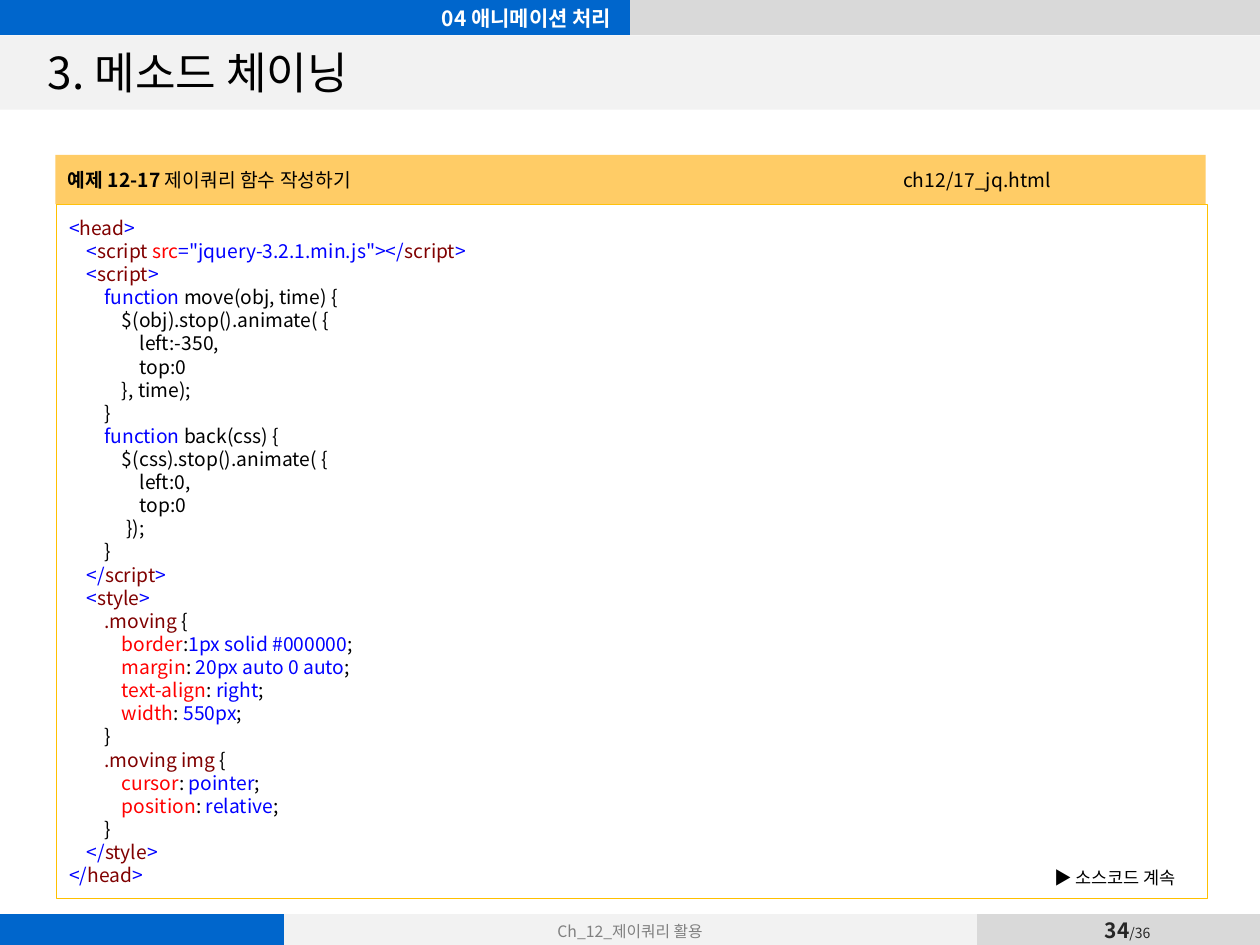
import pptx
import pptx.util
import pptx.dml.color
import pptx.enum.shapes
import pptx.enum.text
import lxml.etree
from pptx.util import Inches

theme = {
    "font": "Noto Sans CJK KR", "note_font": "Arial",
    "title": 25.2, "section": 12, "code": 11, "note": 10, "footer": 9, "total": 8,
    "pitch": 13.2,
    "blue": "0066CC", "gray": "D9D9D9", "light": "F2F2F2",
    "gold": "FFCC66", "border": "FFC000",
    "black": "000000", "white": "FFFFFF", "footer_text": "808080", "page": "262626",
    "mark": "0000FF", "name": "800000", "attr": "FF0000",
}
ALIGN = pptx.enum.text.PP_ALIGN
MIDDLE = pptx.enum.text.MSO_ANCHOR.MIDDLE
RECT = pptx.enum.shapes.MSO_SHAPE.RECTANGLE
NO_STYLE = "{2D5ABB26-0587-4C30-8999-92F81FD0307C}"


def rgb(key):
    return pptx.dml.color.RGBColor.from_string(theme[key])


def write(p, runs, size, font="font", align=ALIGN.LEFT):
    p.alignment = align
    p.font.size = pptx.util.Pt(theme[size])
    p.font.name = theme[font]
    ea = lxml.etree.SubElement(p.font._element, pptx.oxml.ns.qn("a:ea"))
    ea.set("typeface", theme["font"])
    for text, color in runs:
        r = p.add_run()
        r.text = text
        r.font.color.rgb = rgb(color)


prs = pptx.Presentation()
prs.slide_width, prs.slide_height = Inches(10), Inches(7.5)
s = prs.slides.add_slide(prs.slide_layouts[5])

rects = {}
for name, box, fill, line in [
    ("title_band", (0, 0.28, 10, 0.59), "light", None),
    ("code", (0.45, 1.62, 9.13, 5.51), None, "border"),
    ("caption", (0.44, 1.23, 9.13, 0.39), "gold", None),
]:
    sp = s.shapes.add_shape(RECT, *map(Inches, box))
    sp.shadow.inherit = False
    if fill:
        sp.fill.solid()
        sp.fill.fore_color.rgb = rgb(fill)
    else:
        sp.fill.background()
    if line:
        sp.line.color.rgb = rgb(line)
        sp.line.width = pptx.util.Pt(0.5)
    else:
        sp.line.fill.background()
    sp.text_frame.vertical_anchor = MIDDLE
    rects[name] = sp

for top, height, columns in [
    (0, 0.28, [(5, "blue", ""), (5, "gray", "")]),
    (7.25, 0.27, [(2.25, "blue", ""), (5.5, "light", "Ch_12_제이쿼리 활용"),
                  (0.03, "gray", ""), (1.34, "gray", ""), (0.91, "gray", "")]),
]:
    width = sum(w for w, _, _ in columns)
    frame = s.shapes.add_table(1, len(columns), 0, Inches(top), Inches(width), Inches(height))
    table = frame.table
    table.first_row = table.horz_banding = False
    table._tbl.tblPr.find(pptx.oxml.ns.qn("a:tableStyleId")).text = NO_STYLE
    for i, (w, fill, text) in enumerate(columns):
        table.columns[i].width = Inches(w)
        cell = table.cell(0, i)
        cell.fill.solid()
        cell.fill.fore_color.rgb = rgb(fill)
        cell.vertical_anchor = MIDDLE
        cell.margin_left = cell.margin_right = cell.margin_top = cell.margin_bottom = 0
        p = cell.text_frame.paragraphs[0]
        write(p, [(text, "footer_text")] if text else [], "footer", align=ALIGN.CENTER)
        end = lxml.etree.SubElement(p._p, pptx.oxml.ns.qn("a:endParaRPr"))
        end.set("sz", str(theme["footer"] * 100))

title = s.shapes.title
title.left, title.top, title.width, title.height = map(Inches, (0.28, 0.29, 9.45, 0.56))
title.text_frame.auto_size = pptx.enum.text.MSO_AUTO_SIZE.NONE
title.text_frame.vertical_anchor = MIDDLE
write(title.text_frame.paragraphs[0], [("3. 메소드 체이닝", "black")], "title")
s.shapes._spTree.append(title._element)

labels = {}
for name, box, runs, size, font, align, wrap in [
    ("section", (0, 0, 4.95, 0.28), [("04 애니메이션 처리", "white")],
     "section", "font", ALIGN.RIGHT, True),
    ("page", (8.47, 7.25, 0.96, 0.26), [("34", "page"), ("/36", "page")],
     "section", "font", ALIGN.CENTER, False),
    ("continued", (8.27, 6.83, 1.28, 0.27), [("▶ 소스코드 계속", "black")],
     "note", "note_font", ALIGN.LEFT, False),
]:
    sp = s.shapes.add_textbox(*map(Inches, box))
    tf = sp.text_frame
    tf.word_wrap = wrap
    tf.vertical_anchor = MIDDLE
    write(tf.paragraphs[0], runs, size, font, align)
    labels[name] = tf
labels["section"].paragraphs[0].font.bold = True
labels["page"].margin_left = labels["page"].margin_right = 0
number, total = labels["page"].paragraphs[0].runs
number.font.bold = True
total.font.size = pptx.util.Pt(theme["total"])

p = rects["caption"].text_frame.paragraphs[0]
write(p, [("예제 12-17 ", "black"), ("제이쿼리 함수 작성하기\tch12/17_jq.html", "black")], "code")
p.runs[0].font.bold = True
tabs = lxml.etree.Element(pptx.oxml.ns.qn("a:tabLst"))
tab = lxml.etree.SubElement(tabs, pptx.oxml.ns.qn("a:tab"))
tab.set("pos", str(Inches(6.63)))
tab.set("algn", "l")
p.font._element.addprevious(tabs)

tags = {
    mark + name: [(mark, "mark"), (name, "name"), (">", "mark")]
    for mark in ("<", "</") for name in ("head", "script", "style")
}
code = [
    (0, tags["<head"]),
    (1, [("<", "mark"), ("script ", "name"), ("src", "attr"),
         ('="jquery-3.2.1.min.js"></', "mark"), ("script", "name"), (">", "mark")]),
    (1, tags["<script"]),
]
for signature, target, left, end_level, end in [
    ("move(obj, time)", "obj", "-350", 3, "}, time);"),
    ("back(css)", "css", "0", 3.25, "});"),
]:
    code.append((2, [("function", "mark"), (f" {signature} {{", "black")]))
    for level, text in [(3, f"$({target}).stop().animate( {{"), (4, f"left:{left},"),
                        (4, "top:0"), (end_level, end), (2, "}")]:
        code.append((level, [(text, "black")]))
code += [(1, tags["</script"]), (1, tags["<style"])]
for selector, rules in [
    (".moving", [("border", ":", "1px solid #000000"), ("margin", ": ", "20px auto 0 auto"),
                 ("text-align", ": ", "right"), ("width", ": ", "550px")]),
    (".moving img", [("cursor", ": ", "pointer"), ("position", ": ", "relative")]),
]:
    code.append((2, [(selector, "name"), (" {", "black")]))
    for prop, colon, value in rules:
        code.append((3, [(prop, "attr"), (colon, "black"), (value, "mark"), (";", "black")]))
    code.append((2, [("}", "black")]))
code += [(1, tags["</style"]), (0, tags["</head"])]

tf = rects["code"].text_frame
for i, (level, runs) in enumerate(code):
    p = tf.add_paragraph() if i else tf.paragraphs[0]
    write(p, runs, "code")
    p.line_spacing = pptx.util.Pt(theme["pitch"])
    p._p.get_or_add_pPr().set("marL", str(Inches(0.14 * level)))

prs.save("out.pptx")
